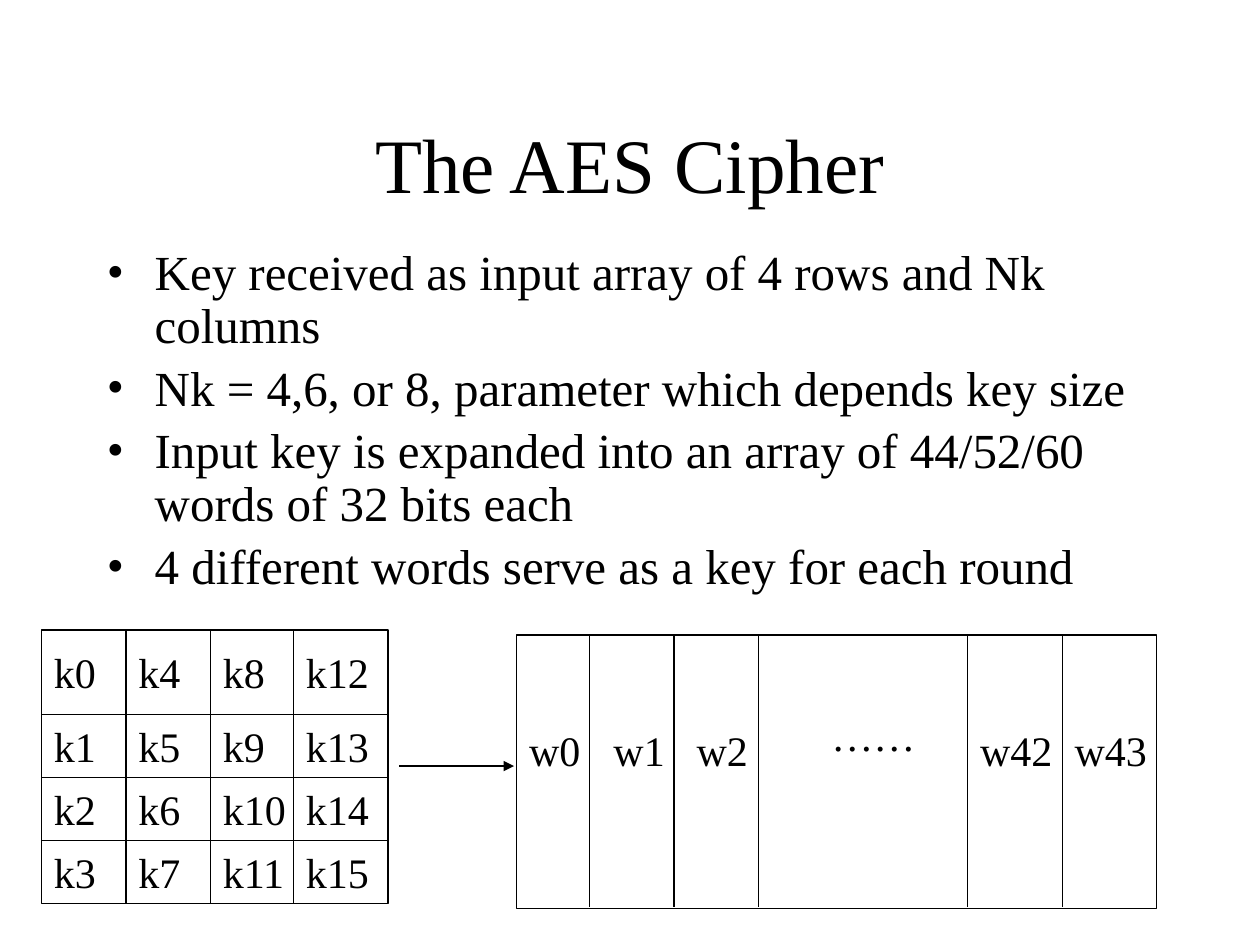
from pptx import Presentation
from pptx.dml.color import RGBColor as RGB
from pptx.enum.shapes import MSO_CONNECTOR as Conn, MSO_SHAPE as Kind
from pptx.enum.text import MSO_ANCHOR as Anchor, MSO_AUTO_SIZE as Fit, PP_ALIGN as Align
from pptx.oxml.ns import qn
from pptx.util import Inches, Pt
from lxml.etree import SubElement as Sub

BLACK = RGB(0, 0, 0)
FONT = {"name": "Times New Roman"}
POINTS = [
    "Key received as input array of 4 rows and Nk columns",
    "Nk = 4,6, or 8, parameter which depends key size",
    "Input key is expanded into an array of 44/52/60 words of 32 bits each",
    "4 different words serve as a key for each round",
]
KEY_COLS = [0.33, 1, 1.67, 2.33]
KEY_ROWS = [5, 5.67, 6.17, 6.67]
KEY_TOPS = [5.08] + KEY_ROWS[1:]
WORD_COLS = [4.68, 5.35, 6.02, 7.68, 8.43]
WORDS = [
    ("w0", 4.1, 5.7, 0.61),
    ("w1", 4.77, 5.7, 0.61),
    ("w2", 5.43, 5.7, 0.61),
    ("……", 6.5, 5.58, 0.87),
    ("w42", 7.68, 5.7, 0.78),
    ("w43", 8.43, 5.7, 0.78),
]


def assign(item, **values):
    for key, value in values.items():
        setattr(item, key, value)


def write(para, text, size):
    run = para.add_run()
    run.text = text
    assign(run.font, size=Pt(size), **FONT)
    run.font.color.rgb = BLACK


def stroke(line):
    line.color.rgb = BLACK
    line.width = Pt(0.75)


def add_title(slide, text):
    title = slide.shapes.title
    assign(title, left=Inches(0.75), top=Inches(0.67),
           width=Inches(8.5), height=Inches(1.25))
    frame = title.text_frame
    assign(frame, vertical_anchor=Anchor.MIDDLE, auto_size=Fit.NONE, word_wrap=True)
    para = frame.paragraphs[0]
    para.alignment = Align.CENTER
    write(para, text, 44)


def add_points(slide, points):
    box = slide.shapes.add_textbox(Inches(0.75), Inches(1.92), Inches(8.5), Inches(2.33))
    frame = box.text_frame
    frame.word_wrap = True
    for i, text in enumerate(points):
        para = frame.add_paragraph() if i else frame.paragraphs[0]
        props = para._p.get_or_add_pPr()
        props.set("marL", str(Inches(0.38)))
        props.set("indent", str(-Inches(0.38)))
        Sub(props, qn("a:buFont")).set("typeface", FONT["name"])
        Sub(props, qn("a:buChar")).set("char", "•")
        assign(para, line_spacing=0.9, space_before=Pt(5.6 if i else 0))
        write(para, text, 28)


def add_frame(slide, x, y, w, h):
    rect = slide.shapes.add_shape(Kind.RECTANGLE, Inches(x), Inches(y), Inches(w), Inches(h))
    rect.shadow.inherit = False
    rect.fill.background()
    stroke(rect.line)


def add_line(slide, x1, y1, x2, y2, arrow=False):
    link = slide.shapes.add_connector(
        Conn.STRAIGHT, Inches(x1), Inches(y1), Inches(x2), Inches(y2))
    stroke(link.line)
    if arrow:
        Sub(link.line._get_or_add_ln(), qn("a:tailEnd")).set("type", "triangle")
    Sub(link._element.spPr, qn("a:effectLst"))


def add_label(slide, text, x, y, w):
    box = slide.shapes.add_textbox(Inches(x), Inches(y), Inches(w), Inches(0.5))
    assign(box.text_frame, word_wrap=False, auto_size=Fit.SHAPE_TO_FIT_TEXT)
    write(box.text_frame.paragraphs[0], text, 24)


def add_key(slide):
    add_frame(slide, 0.33, 5, 2.75, 2.17)
    for x in KEY_COLS[1:]:
        add_line(slide, x, 5, x, 7.17)
    for y in KEY_ROWS[1:]:
        add_line(slide, 0.33, y, 3.08, y)
    for i, x in enumerate(KEY_COLS):
        for j, y in enumerate(KEY_TOPS):
            num = 4 * i + j
            add_label(slide, f"k{num}", x, y, 0.53 if num < 10 else 0.7)


def add_words(slide):
    add_frame(slide, 4.1, 5.04, 5.08, 2.17)
    for x in WORD_COLS:
        add_line(slide, x, 5.04, x, 7.2)
    for word in WORDS:
        add_label(slide, *word)


def main():
    deck = Presentation()
    assign(deck, slide_width=Inches(10), slide_height=Inches(7.5))
    slide = deck.slides.add_slide(deck.slide_layouts[5])
    add_title(slide, "The AES Cipher")
    add_points(slide, POINTS)
    add_key(slide)
    add_words(slide)
    add_line(slide, 3.17, 6.08, 4.08, 6.08, arrow=True)
    deck.save("out.pptx")


if __name__ == "__main__":
    main()
